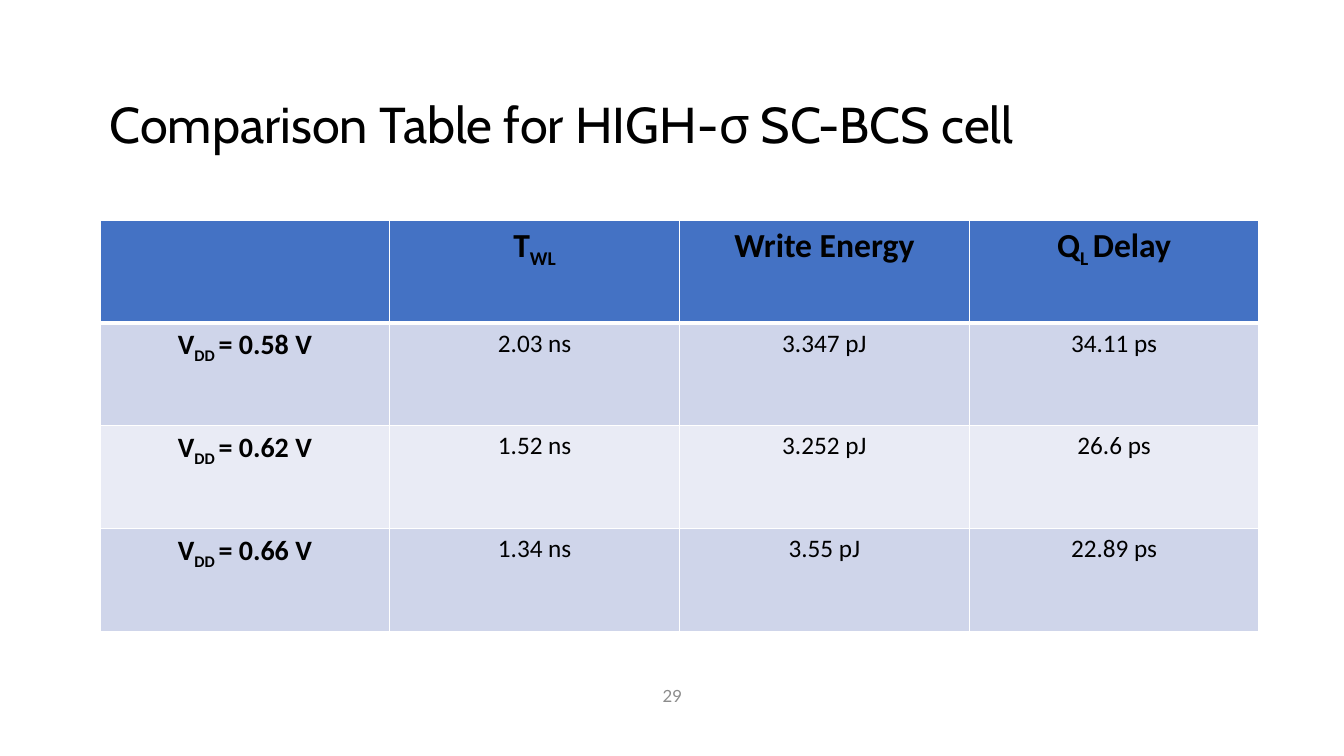
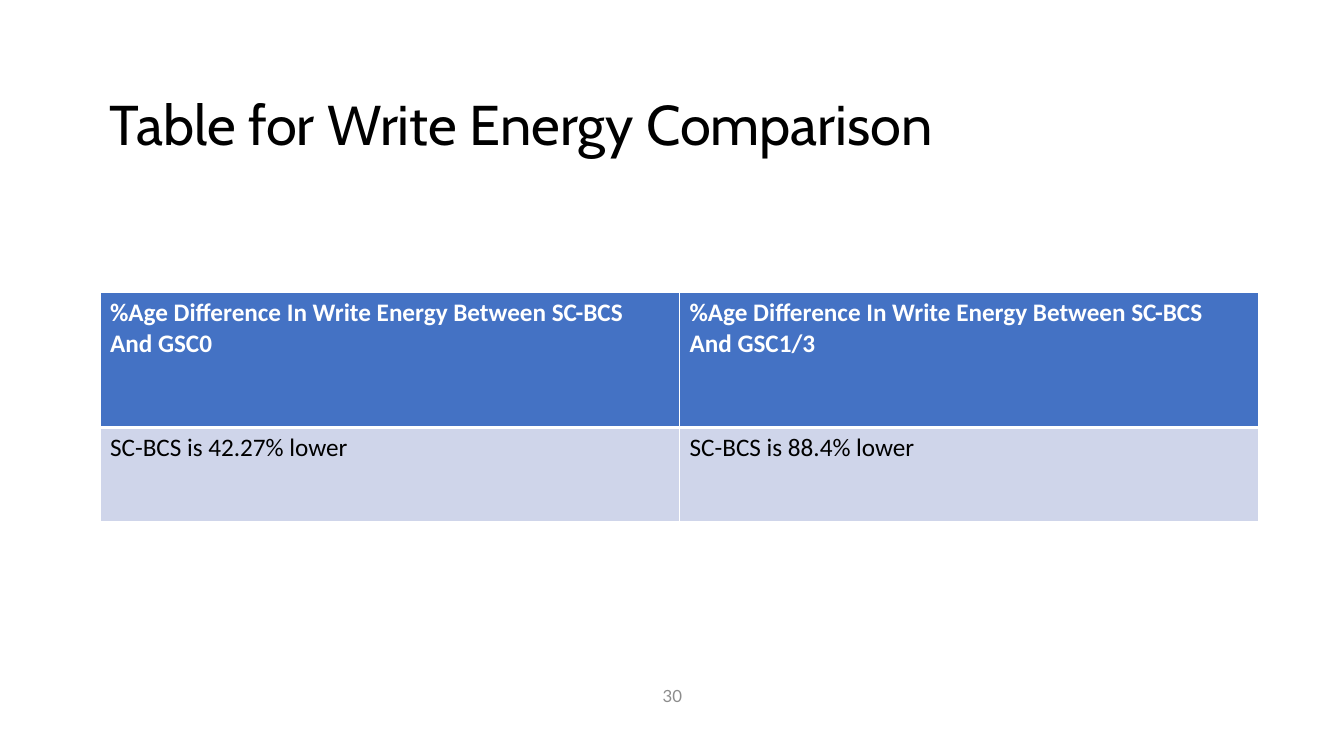
from dataclasses import dataclass

from lxml.etree import SubElement
from pptx import Presentation
from pptx.dml.color import RGBColor
from pptx.enum.text import MSO_ANCHOR as Anchor, PP_ALIGN as Align
from pptx.oxml.ns import qn
from pptx.util import Cm, Pt


@dataclass(frozen=True)
class Theme:
    # Colours
    ink: str = "000000"
    paper: str = "FFFFFF"
    muted: str = "8C8C8C"
    header: str = "4472C4"
    bands: tuple = ("CFD5EA", "E9EBF5")
    # Fonts
    title_font: str = "Cabin"
    body_font: str = "Calibri"
    number_font: str = "Lato"
    # Type sizes
    title_size: int = 40
    long_title_size: int = 36
    column_size: int = 24
    row_label_size: int = 20
    body_size: int = 18
    number_size: int = 12
    # Border widths
    thin: int = 1
    thick: int = 3


THEME = Theme()
SLIDE_WIDTH, SLIDE_HEIGHT = Cm(33.87), Cm(19.05)
LEFT, CONTENT_WIDTH = Cm(2.52), Cm(29.21)


def write(frame, text, font=THEME.body_font, size=THEME.body_size,
          color=THEME.ink, bold=False, align=Align.LEFT, spacing=None):
    """Write one paragraph; text between a pair of ~ marks is subscript."""
    paragraph = frame.paragraphs[0]
    paragraph.alignment = align
    if spacing:
        paragraph.line_spacing = spacing
    for index, part in enumerate(text.split("~")):
        if not part:
            continue
        run = paragraph.add_run()
        run.text = part
        run.font.name, run.font.size, run.font.bold = font, Pt(size), bold
        run.font.color.rgb = RGBColor.from_string(color)
        if index % 2:
            run.font._element.set("baseline", "-25000")


def add_text(slide, text, left, top, width, height, **style):
    frame = slide.shapes.add_textbox(left, top, width, height).text_frame
    frame.word_wrap = True
    frame.vertical_anchor = Anchor.MIDDLE
    write(frame, text, **style)


def set_borders(cell, top, bottom):
    properties = cell._tc.get_or_add_tcPr()
    widths = {"lnL": THEME.thin, "lnR": THEME.thin, "lnT": top, "lnB": bottom}
    for position, (edge, width) in enumerate(widths.items()):
        line = SubElement(properties, qn(f"a:{edge}"), w=str(Pt(width)))
        fill = SubElement(line, qn("a:solidFill"))
        SubElement(fill, qn("a:srgbClr"), val=THEME.paper)
        properties.insert(position, line)


def add_banded_table(slide, rows, top, row_heights, style_for):
    """Draw a header row over banded rows; style_for(row, column) gives the text format."""
    table = slide.shapes.add_table(len(rows), len(rows[0]), LEFT, top,
                                   CONTENT_WIDTH, sum(row_heights)).table
    for column in table.columns:
        column.width = CONTENT_WIDTH // len(rows[0])
    for r, (texts, height) in enumerate(zip(rows, row_heights)):
        table.rows[r].height = height
        color = THEME.bands[(r - 1) % 2] if r else THEME.header
        for c, text in enumerate(texts):
            cell = table.cell(r, c)
            cell.fill.solid()
            cell.fill.fore_color.rgb = RGBColor.from_string(color)
            set_borders(cell, top=THEME.thick if r == 1 else THEME.thin,
                        bottom=THEME.thin if r else THEME.thick)
            write(cell.text_frame, text, **style_for(r, c))


def add_titled_slide(deck, title, number, title_size=THEME.title_size):
    slide = deck.slides.add_slide(deck.slide_layouts[6])
    add_text(slide, title, LEFT, Cm(2), CONTENT_WIDTH, Cm(2.4),
             font=THEME.title_font, size=title_size, spacing=0.9)
    add_text(slide, str(number), Cm(16.16), Cm(17.02), Cm(1.57), Cm(1.02),
             font=THEME.number_font, size=THEME.number_size,
             color=THEME.muted, align=Align.CENTER)
    return slide


def cell_comparison_style(row, column):
    if row == 0:
        size = THEME.column_size
    else:
        size = THEME.body_size if column else THEME.row_label_size
    return dict(size=size, bold=row == 0 or column == 0, align=Align.CENTER)


def energy_style(row, column):
    return dict(bold=row == 0, color=THEME.ink if row else THEME.paper)


def add_cell_comparison(deck):
    slide = add_titled_slide(deck, "Comparison Table for HIGH-σ SC-BCS cell", 29,
                             title_size=THEME.long_title_size)
    measurements = [
        ("0.58", "2.03 ns", "3.347 pJ", "34.11 ps"),
        ("0.62", "1.52 ns", "3.252 pJ", "26.6 ps"),
        ("0.66", "1.34 ns", "3.55 pJ", "22.89 ps"),
    ]
    rows = [("", "T~WL~", "Write Energy", "Q~L ~Delay")]
    rows += [(f"V~DD ~= {voltage} V", *values) for voltage, *values in measurements]
    add_banded_table(slide, rows, Cm(5.55), [Cm(2.59)] * len(rows),
                     cell_comparison_style)


def add_energy_comparison(deck):
    slide = add_titled_slide(deck, "Table for Write Energy Comparison", 30)
    differences = [("GSC0", "42.27%"), ("GSC1/3", "88.4%")]
    rows = [
        [f"%Age Difference In Write Energy Between SC-BCS And {rival}"
         for rival, _ in differences],
        [f"SC-BCS is {saving} lower" for _, saving in differences],
    ]
    add_banded_table(slide, rows, Cm(7.37), [Cm(3.4), Cm(2.38)], energy_style)


def main():
    deck = Presentation()
    deck.slide_width, deck.slide_height = SLIDE_WIDTH, SLIDE_HEIGHT
    add_cell_comparison(deck)
    add_energy_comparison(deck)
    deck.save("out.pptx")


if __name__ == "__main__":
    main()
